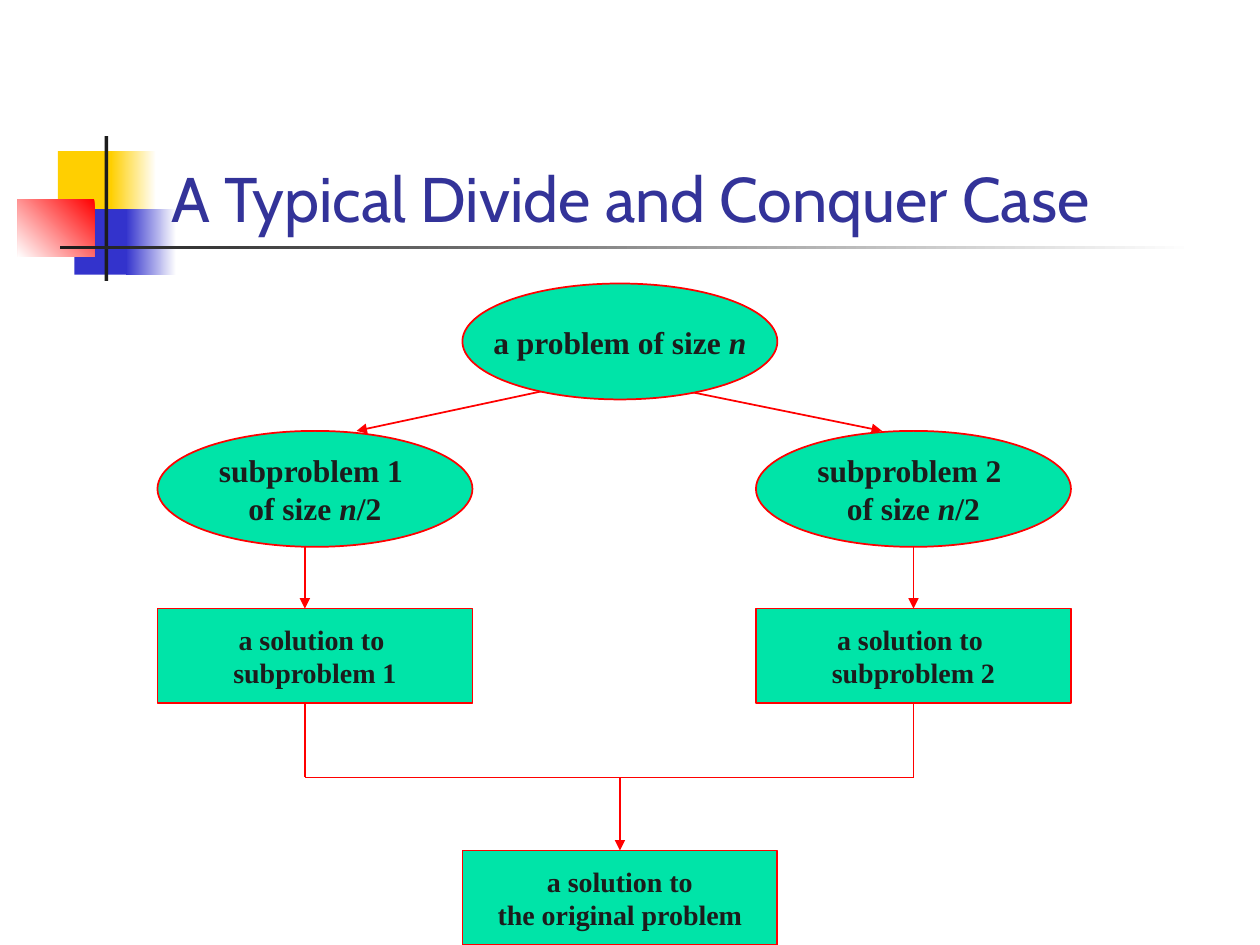
from dataclasses import dataclass

from lxml.etree import SubElement
from pptx import Presentation
from pptx.dml.color import RGBColor
from pptx.enum.shapes import MSO_CONNECTOR, MSO_SHAPE
from pptx.enum.text import MSO_ANCHOR, PP_ALIGN
from pptx.oxml.ns import qn
from pptx.util import Inches, Pt


@dataclass(frozen=True)
class Theme:
    white: str = "FFFFFF"
    yellow: str = "FFCF01"
    blue: str = "3333CC"
    red: str = "FF0000"
    dark: str = "1C1C1C"
    title: str = "333399"
    node: str = "00E4A8"
    title_font: str = "Cabin"
    node_font: str = "Times New Roman"
    title_size: int = 36
    problem_size: int = 18
    solution_size: int = 16


theme = Theme()


def add_box(kind, left, top, width, height):
    sp = s.shapes.add_shape(kind, Inches(left), Inches(top), Inches(width), Inches(height))
    sp.shadow.inherit = False
    sp.line.fill.background()
    return sp


def add_line(start, end, arrow=False):
    line = s.shapes.add_connector(MSO_CONNECTOR.STRAIGHT, *map(Inches, start + end))
    line.line.color.rgb = RGBColor.from_string(theme.red)
    line.line.width = Pt(1)
    if arrow:
        SubElement(line.line._get_or_add_ln(), qn("a:tailEnd"), type="triangle")
    SubElement(line.element.spPr, qn("a:effectLst"))
    return line


prs = Presentation()
prs.slide_width, prs.slide_height = Inches(10), Inches(7.5)
s = prs.slides.add_slide(prs.slide_layouts[5])

# Corner ornament: left, top, width, height, first colour, last colour, angle
ornament = [
    (0.46, 1.2, 0.48, 0.52, theme.yellow, None, 0),
    (0.88, 1.2, 0.36, 0.52, theme.white, theme.yellow, 180),
    (0.59, 1.66, 0.46, 0.52, theme.blue, None, 0),
    (1, 1.66, 0.4, 0.52, theme.white, theme.blue, 180),
    (0.14, 1.58, 0.61, 0.46, theme.red, theme.white, 225),
    (0.83, 1.08, 0.03, 1.15, theme.dark, None, 0),
    (0.48, 1.95, 9, 0.03, theme.white, theme.dark, 180),
]
for left, top, width, height, first, last, angle in ornament:
    sp = add_box(MSO_SHAPE.RECTANGLE, left, top, width, height)
    if last:
        sp.fill.gradient()
        sp.fill.gradient_angle = angle
        for stop, color in zip(sp.fill.gradient_stops, (first, last)):
            stop.color.rgb = RGBColor.from_string(color)
    else:
        sp.fill.solid()
        sp.fill.fore_color.rgb = RGBColor.from_string(first)

# Title, brought in front of the ornament
title = s.shapes.title
title.element.getparent().append(title.element)
place = {"left": 1.26, "top": 0.67, "width": 8.52, "height": 1.25}
for name, value in place.items():
    setattr(title, name, Inches(value))
tf = title.text_frame
tf.text = "A Typical Divide and Conquer Case"
tf.vertical_anchor = MSO_ANCHOR.BOTTOM
p = tf.paragraphs[0]
p.alignment = PP_ALIGN.LEFT
font = p.runs[0].font
font.name, font.size = theme.title_font, Pt(theme.title_size)
font.color.rgb = RGBColor.from_string(theme.title)

# Split arrows lie behind the top ellipse
add_line((4.42, 3.08), (2.83, 3.42), arrow=True)
add_line((5.33, 3.08), (7, 3.42), arrow=True)

# Nodes: each line is a list of runs, and the run "n" is italic
left_x, mid_x, right_x = 1.25, 3.67, 6
problem = (MSO_SHAPE.OVAL, 0.92, theme.problem_size)
solution = (MSO_SHAPE.RECTANGLE, 0.75, theme.solution_size)
half = ["of size ", "n", "/2"]
nodes = {
    "problem": (problem, mid_x, 2.25, [["a problem of size ", "n"]]),
    "sub 1": (problem, left_x, 3.42, [["subproblem 1 "], half]),
    "sub 2": (problem, right_x, 3.42, [["subproblem 2 "], half]),
    "solution 1": (solution, left_x, 4.83, [["a solution to "], ["subproblem 1"]]),
    "solution 2": (solution, right_x, 4.83, [["a solution to "], ["subproblem 2"]]),
    "result": (solution, mid_x, 6.75, [["a solution to"], ["the original problem"]]),
}
boxes = {}
for key, ((kind, height, size), left, top, lines) in nodes.items():
    sp = boxes[key] = add_box(kind, left, top, 2.5, height)
    sp.fill.solid()
    sp.fill.fore_color.rgb = RGBColor.from_string(theme.node)
    sp.line.color.rgb = RGBColor.from_string(theme.red)
    sp.line.width = Pt(1)
    tf = sp.text_frame
    tf.word_wrap = False
    tf.vertical_anchor = MSO_ANCHOR.MIDDLE
    for i, runs in enumerate(lines):
        p = tf.add_paragraph() if i else tf.paragraphs[0]
        p.alignment = PP_ALIGN.CENTER
        for text in runs:
            r = p.add_run()
            r.text = text
            style = {"name": theme.node_font, "size": Pt(size), "bold": True, "italic": text == "n"}
            for name, value in style.items():
                setattr(r.font, name, value)
            r.font.color.rgb = RGBColor.from_string(theme.dark)

# Solve arrows and the merge bracket
bar_y, left_line, mid_line, right_line = 6.17, 2.42, 4.92, 7.25
for x in (left_line, right_line):
    solve = add_line((x, 4.33), (x, 4.83), arrow=True)
    merge = add_line((x, 5.58), (x, bar_y))
    if x == right_line:
        solve.end_connect(boxes["solution 2"], 0)
        merge.begin_connect(boxes["solution 2"], 2)
add_line((left_line, bar_y), (right_line, bar_y))
add_line((mid_line, bar_y), (mid_line, 6.75), arrow=True).end_connect(boxes["result"], 0)

prs.save("out.pptx")
